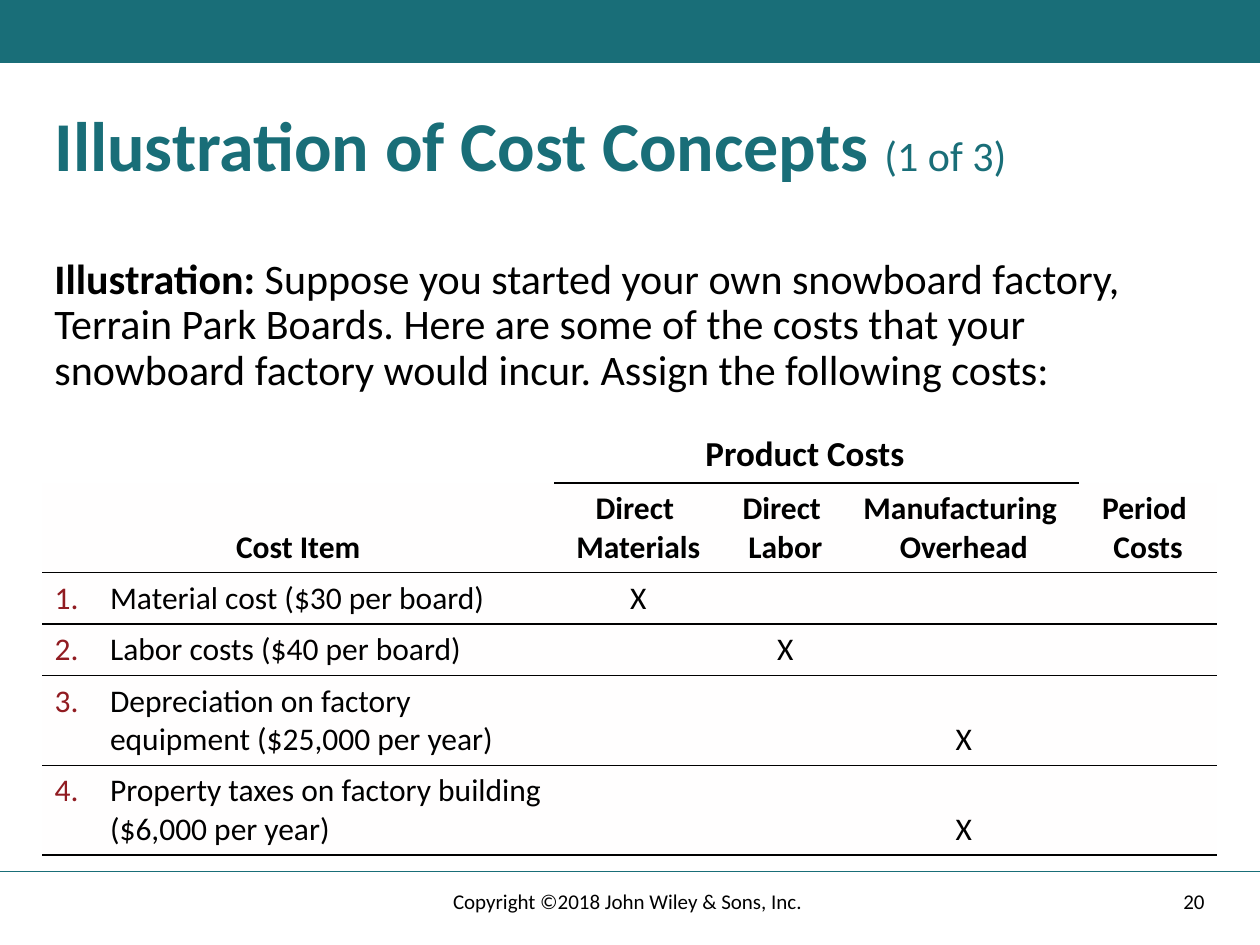
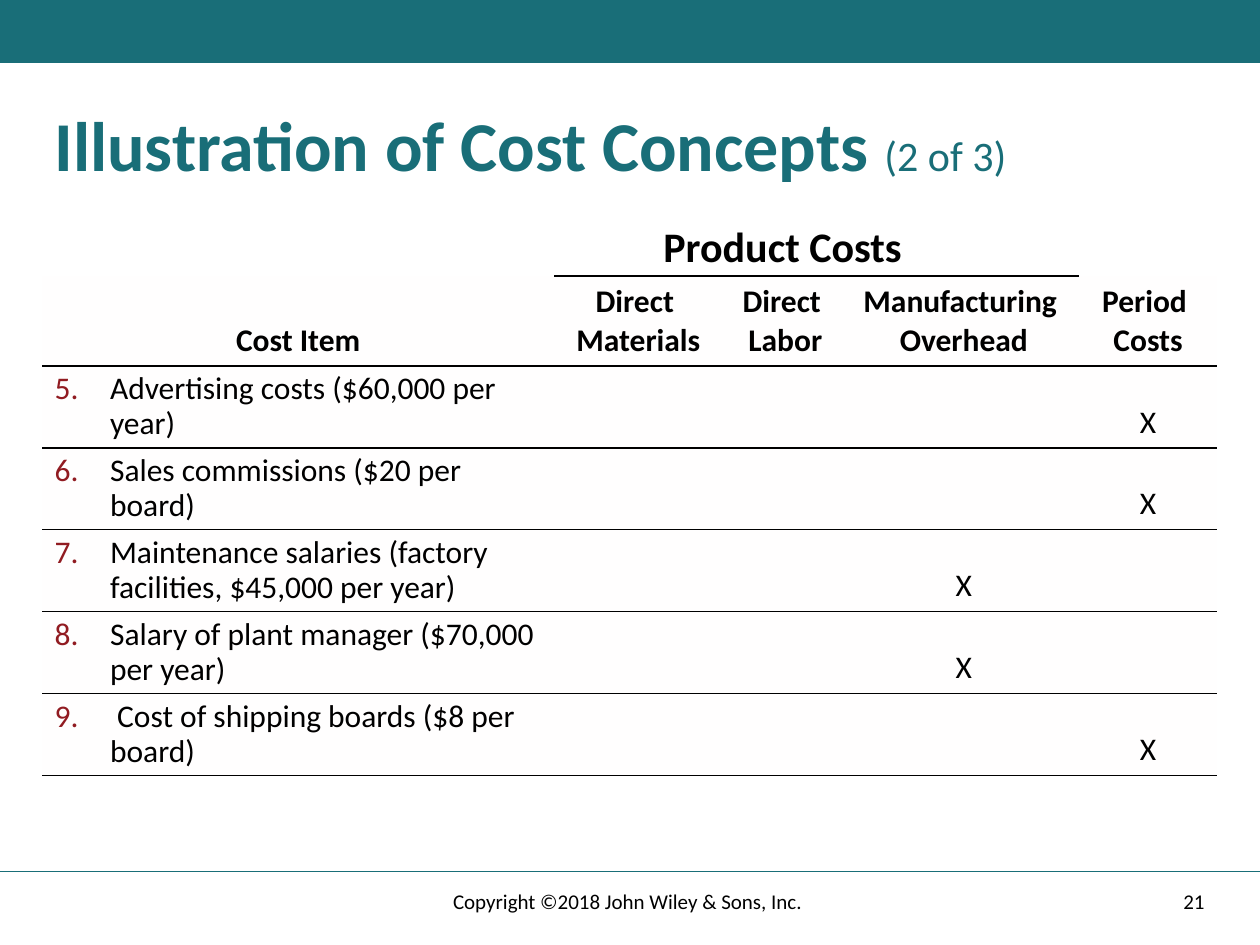
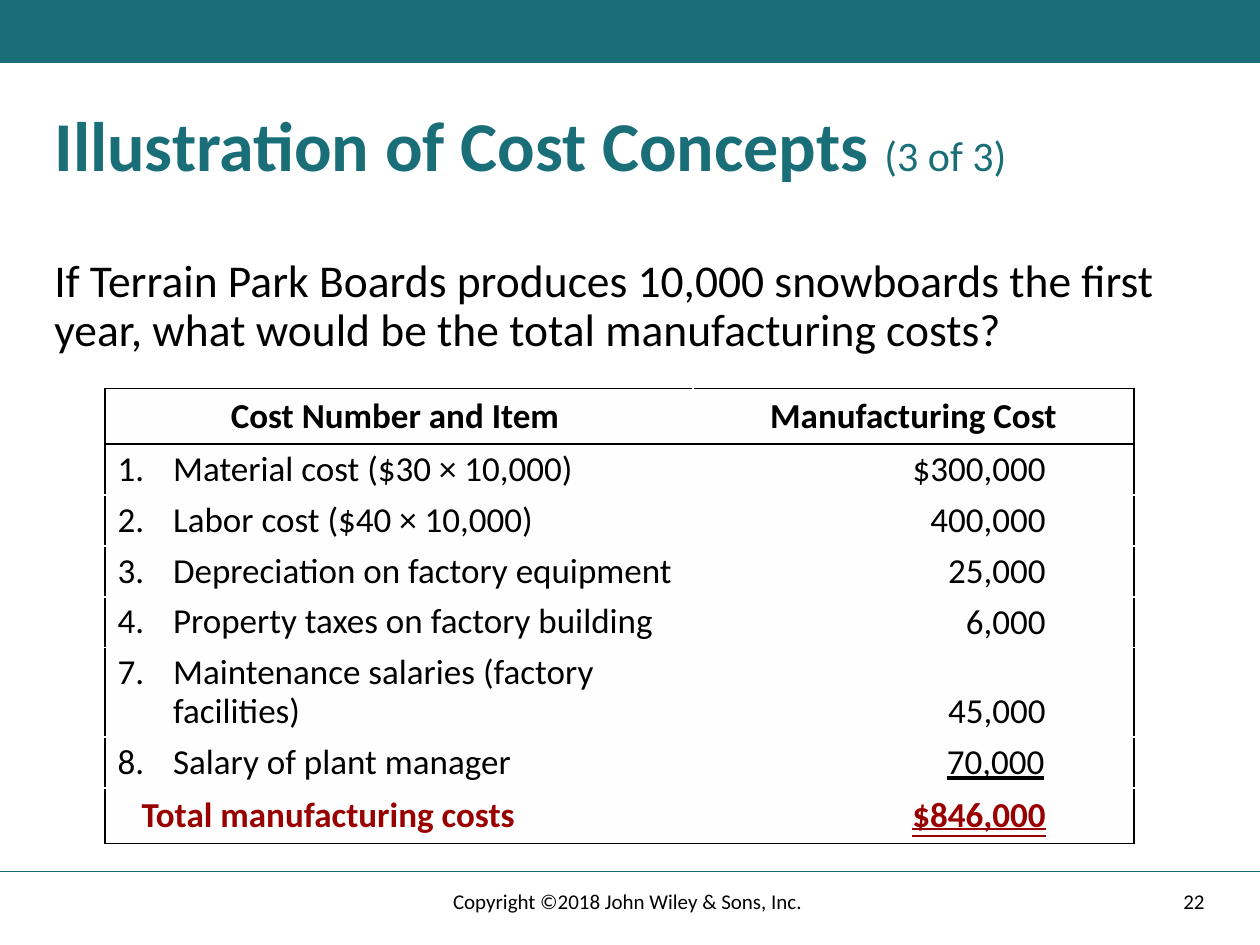
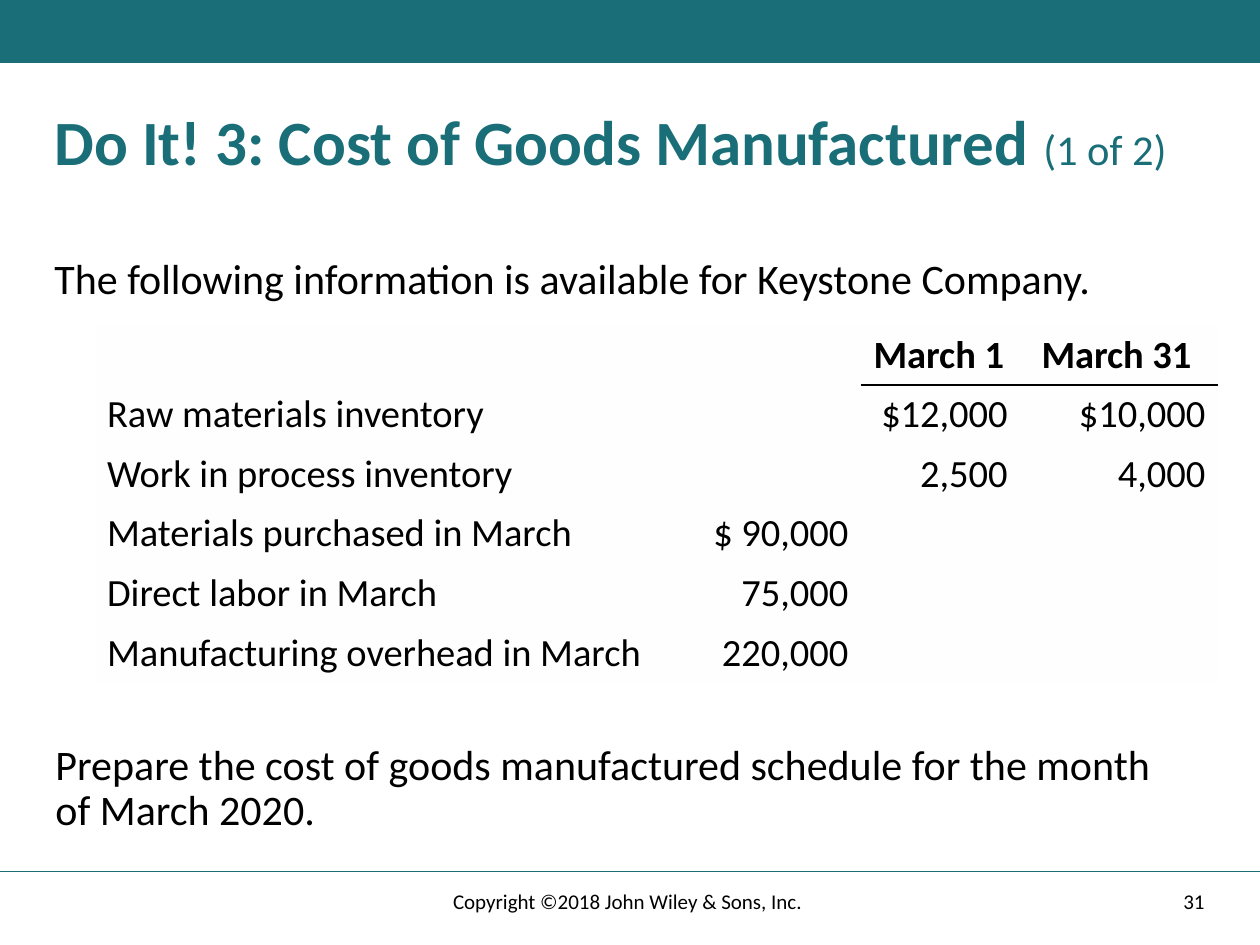
from dataclasses import dataclass
from lxml import etree
from pptx import Presentation
from pptx.dml.color import RGBColor
from pptx.enum.shapes import MSO_CONNECTOR, MSO_SHAPE
from pptx.enum.text import MSO_ANCHOR, MSO_UNDERLINE, PP_ALIGN
from pptx.oxml.ns import qn
from pptx.util import Inches, Pt

LEFT, MID, RIGHT = PP_ALIGN.LEFT, PP_ALIGN.CENTER, PP_ALIGN.RIGHT
TOP, HALF, BASE = MSO_ANCHOR.TOP, MSO_ANCHOR.MIDDLE, MSO_ANCHOR.BOTTOM
RECT, LINE = MSO_SHAPE.RECTANGLE, MSO_CONNECTOR.STRAIGHT
ONE, TWO = MSO_UNDERLINE.SINGLE_LINE, MSO_UNDERLINE.DOUBLE_LINE


@dataclass(frozen=True)
class Theme:
    font: str = "Calibri"
    teal: str = "196E78"
    ink: str = "000000"
    paper: str = "FFFFFF"
    cell: str = "FFFEFE"
    num: str = "911B21"
    total: str = "990000"
    title: float = 40
    body: float = 24
    lead: float = 26
    sums: float = 20
    grid: float = 18
    data: float = 22
    foot: float = 12


T = Theme()

# Content
NOTICE = "Copyright ©2018 John Wiley & Sons, Inc. "
CONCEPT = "Illustration of Cost Concepts "
GOODS = "Do It! 3: Cost of Goods Manufactured "
INTRO = [("Illustration: ", {"bold": True}),
         "Suppose you started your own snowboard factory, Terrain Park Boards. "
         "Here are some of the costs that your snowboard factory would incur. "
         "Assign the following costs:"]
ASK = ("If Terrain Park Boards produces 10,000 snowboards the first year, "
       "what would be the total manufacturing costs?")
GIVEN = "The following information is available for Keystone Company."
TASK = ("Prepare the cost of goods manufactured schedule "
        "for the month of March 2020.")
GROUP = "Product Costs"
HEADS = ["Cost Item", "Direct \nMaterials", "Direct \nLabor",
         "Manufacturing \nOverhead", "Period \nCosts"]
# number, cost item, column of its mark
FIRST = [(1, "Material cost ($30 per board)", 1),
         (2, "Labor costs ($40 per board)", 2),
         (3, "Depreciation on factory equipment ($25,000 per year)", 3),
         (4, "Property taxes on factory building ($6,000 per year)", 3)]
SECOND = [(5, "Advertising costs ($60,000 per year)", 4),
          (6, "Sales commissions ($20 per board)", 4),
          (7, "Maintenance salaries (factory facilities, $45,000 per year)", 3),
          (8, "Salary of plant manager ($70,000 per year)", 3),
          (9, " Cost of shipping boards ($8 per board)", 4)]
SUMS = [(1, "Material cost ($30 × 10,000)", "$300,000"),
        (2, "Labor cost ($40 × 10,000)", "400,000"),
        (3, "Depreciation on factory equipment", "25,000"),
        (4, "Property taxes on factory building", "6,000"),
        (7, "Maintenance salaries (factory facilities)", "45,000"),
        (8, "Salary of plant manager", "70,000")]
STOCK = [["", "", "March 1", "March 31"],
         ["Raw materials inventory", "", "$12,000 ", "$10,000"],
         ["Work in process inventory", "", "2,500 ", "4,000"],
         ["Materials purchased in March", "$ 90,000", "", ""],
         ["Direct labor in March", "75,000", "", ""],
         ["Manufacturing overhead in March", "220,000", "", ""]]

# Slide grid: 120 columns by 90 rows
WIDE, HIGH = 120, 90
EDGE, SPAN = 4, 112
COSTS = [48.8, 16, 12, 22, 13.1]
HANG = 0.44


def unit(n):
    return Inches(n / 12)


def rgb(code):
    return RGBColor.from_string(code)


def put(frame, text, size=T.body, color=T.ink, bold=False, under=None,
        align=LEFT, space=None, num=None, tint=None, first=0, tab=None):
    """Write a string, or a list of runs, with one format."""
    lines = text.split("\n") if isinstance(text, str) else [text]
    for i, line in enumerate(lines):
        para = frame.paragraphs[0] if i == 0 else frame.add_paragraph()
        props = para._p.get_or_add_pPr()
        if num:
            props.set("marL", str(Inches(HANG)))
            props.set("indent", str(-Inches(HANG)))
            if tint:
                ink = etree.SubElement(props, qn("a:buClr"))
                etree.SubElement(ink, qn("a:srgbClr"), val=tint)
            etree.SubElement(props, qn("a:buAutoNum"),
                             type="arabicPeriod", startAt=str(num))
        if first:
            props.set("indent", str(Inches(first)))
        if tab:
            stops = etree.SubElement(props, qn("a:tabLst"))
            etree.SubElement(stops, qn("a:tab"), pos=str(Inches(tab)), algn="r")
        para.alignment = align
        if space:
            para.line_spacing = space
        for item in [line] if isinstance(line, str) else line:
            words, own = (item, {}) if isinstance(item, str) else item
            run = para.add_run()
            run.text = words
            font = run.font
            font.name = T.font
            font.size = Pt(own.get("size", size))
            font.bold = own.get("bold", bold)
            font.underline = under
            font.color.rgb = rgb(color)


def box(slide, x, y, w, h, text, anchor=TOP, **fmt):
    frame = slide.shapes.add_textbox(*map(unit, (x, y, w, h))).text_frame
    frame.word_wrap = True
    frame.vertical_anchor = anchor
    put(frame, text, **fmt)


def edge(cell, sides):
    """Draw each side named in a dict; leave the others open."""
    props = cell._tc.get_or_add_tcPr()
    for i, side in enumerate("LRTB"):
        line = etree.Element(qn("a:ln" + side), w=str(Pt(1)))
        color = sides.get(side)
        if color:
            ink = etree.SubElement(line, qn("a:solidFill"))
            etree.SubElement(ink, qn("a:srgbClr"), val=color)
        else:
            etree.SubElement(line, qn("a:noFill"))
        props.insert(i, line)


def grid(slide, x, y, cols, rows, sides):
    frame = slide.shapes.add_table(len(rows), len(cols), unit(x), unit(y),
                                   unit(sum(cols)), unit(sum(rows)))
    table = frame.table
    table.first_row = table.horz_banding = False
    for col, w in zip(table.columns, cols):
        col.width = unit(w)
    for r, h in enumerate(rows):
        table.rows[r].height = unit(h)
        for c in range(len(cols)):
            cell = table.cell(r, c)
            cell.fill.solid()
            cell.fill.fore_color.rgb = rgb(T.cell)
            edge(cell, sides(r, c))
    return table


def fill(cell, text, anchor=BASE, **fmt):
    cell.vertical_anchor = anchor
    put(cell.text_frame, text, **fmt)


def base(deck, head, count, page, size=T.title, small=T.body):
    """Start a slide with its band, footer and title."""
    slide = deck.slides.add_slide(deck.slide_layouts[6])
    band = slide.shapes.add_shape(RECT, 0, 0, unit(WIDE), unit(6))
    band.shadow.inherit = False
    band.fill.solid()
    band.fill.fore_color.rgb = rgb(T.teal)
    band.line.fill.background()
    rule = slide.shapes.add_connector(LINE, 0, unit(83), unit(WIDE), unit(83))
    rule.line.color.rgb = rgb(T.teal)
    rule.line.width = Pt(1)
    etree.SubElement(rule._element.spPr, qn("a:effectLst"))
    box(slide, EDGE, 10, SPAN, 10,
        [head, (count, {"size": small, "bold": False})],
        size=size, color=T.teal, bold=True, space=0.9)
    box(slide, 84.7, 83.4, 31.2, 4.8, str(page), HALF, size=T.foot, align=RIGHT)
    box(slide, 39.7, 83.4, 40.6, 4.8, NOTICE, HALF, size=T.foot, align=MID)
    return slide


def costs(slide, y, items, rows, space=None):
    """Table that marks the kind of each cost."""
    def sides(r, c):
        over = r > 0 or 0 < c < 4
        return {"T": T.ink if over else None, "B": T.ink}

    table = grid(slide, EDGE, y, COSTS, [8.55] + rows, sides)
    for c, head in enumerate(HEADS):
        fill(table.cell(0, c), head, size=T.grid, bold=True, align=MID)
    for r, (num, item, mark) in enumerate(items, 1):
        fill(table.cell(r, 0), item, size=T.grid, num=num, tint=T.num,
             space=space)
        fill(table.cell(r, mark), "X", size=T.grid, align=MID)


def sums(slide):
    """Framed table of manufacturing costs with a total."""
    last = len(SUMS) + 1

    def sides(r, c):
        return {"L": T.paper if c else T.ink,
                "R": T.ink if c else T.paper,
                "T": T.ink if r < 2 else T.paper,
                "B": T.ink if r in (0, last) else T.paper}

    rows = [5.3] + [8.5 if num == 7 else 4.85 for num, _, _ in SUMS] + [5.3]
    table = grid(slide, 10, 37, [56, 42], rows, sides)
    for c, head in enumerate(["Cost Number and Item ", "Manufacturing Cost"]):
        fill(table.cell(0, c), head, TOP, size=T.sums, bold=True, align=MID)
    for r in range(1, last + 1):
        cell = table.cell(r, 1)
        cell.margin_left, cell.margin_right = 0, Inches(0.7)
        cell.margin_top = cell.margin_bottom = Inches(0.03)
    for r, (num, item, cost) in enumerate(SUMS, 1):
        fill(table.cell(r, 0), item, TOP, size=T.sums, num=num, space=0.9)
        cell = table.cell(r, 1)
        if r < last - 1:
            fill(cell, cost, size=T.sums, align=RIGHT)
        else:  # the tab stretches the sum line to the left
            cell.margin_left = Inches(1.72)
            fill(cell, "\t" + cost, size=T.sums, under=ONE, tab=1.07)
    strong = {"size": T.sums, "color": T.total, "bold": True}
    fill(table.cell(last, 0), "Total manufacturing costs", TOP,
         first=0.19, **strong)
    fill(table.cell(last, 1), "$846,000", HALF, under=TWO, align=RIGHT,
         **strong)


def stock(slide):
    """Open table of inventories and March costs."""
    def sides(r, c):
        side = {0: "B", 1: "T"}.get(r)
        return {side: T.ink} if side and c > 1 else {}

    table = grid(slide, 9, 31, [56, 17, 16, 18], [5.67] * len(STOCK), sides)
    for r, row in enumerate(STOCK):
        for c, text in enumerate(row):
            if text:
                fill(table.cell(r, c), text, TOP, size=T.data, bold=r == 0,
                     align=RIGHT if r and c else LEFT)


def main():
    deck = Presentation()
    deck.slide_width, deck.slide_height = unit(WIDE), unit(HIGH)

    # Product costs, items 1 to 4
    slide = base(deck, CONCEPT, "(1 of 3)", 20)
    box(slide, EDGE, 24, SPAN, 14.5, INTRO, space=0.9)
    box(slide, 66, 41, 22, 3.8, GROUP, size=T.sums, bold=True, space=0.9)
    costs(slide, 46, FIRST, [4.9, 4.9, 8.55, 8.55])

    # Product and period costs, items 5 to 9
    slide = base(deck, CONCEPT, "(2 of 3)", 21)
    box(slide, 62, 21, 25.3, 4.6, GROUP, bold=True, space=0.9)
    costs(slide, 26.3, SECOND, [7.8] * len(SECOND), space=0.9)

    # Total manufacturing costs
    slide = base(deck, CONCEPT, "(3 of 3)", 22)
    box(slide, EDGE, 24, SPAN, 11, ASK, size=T.lead, space=0.9)
    sums(slide)

    # Exercise
    slide = base(deck, GOODS, "(1 of 2)", 31, size=36, small=24.3)
    box(slide, EDGE, 24, 102, 5.6, GIVEN, space=0.9)
    stock(slide)
    box(slide, 4.1, 70.3, 106.9, 9, TASK, space=0.9)

    deck.save("out.pptx")


if __name__ == "__main__":
    main()
